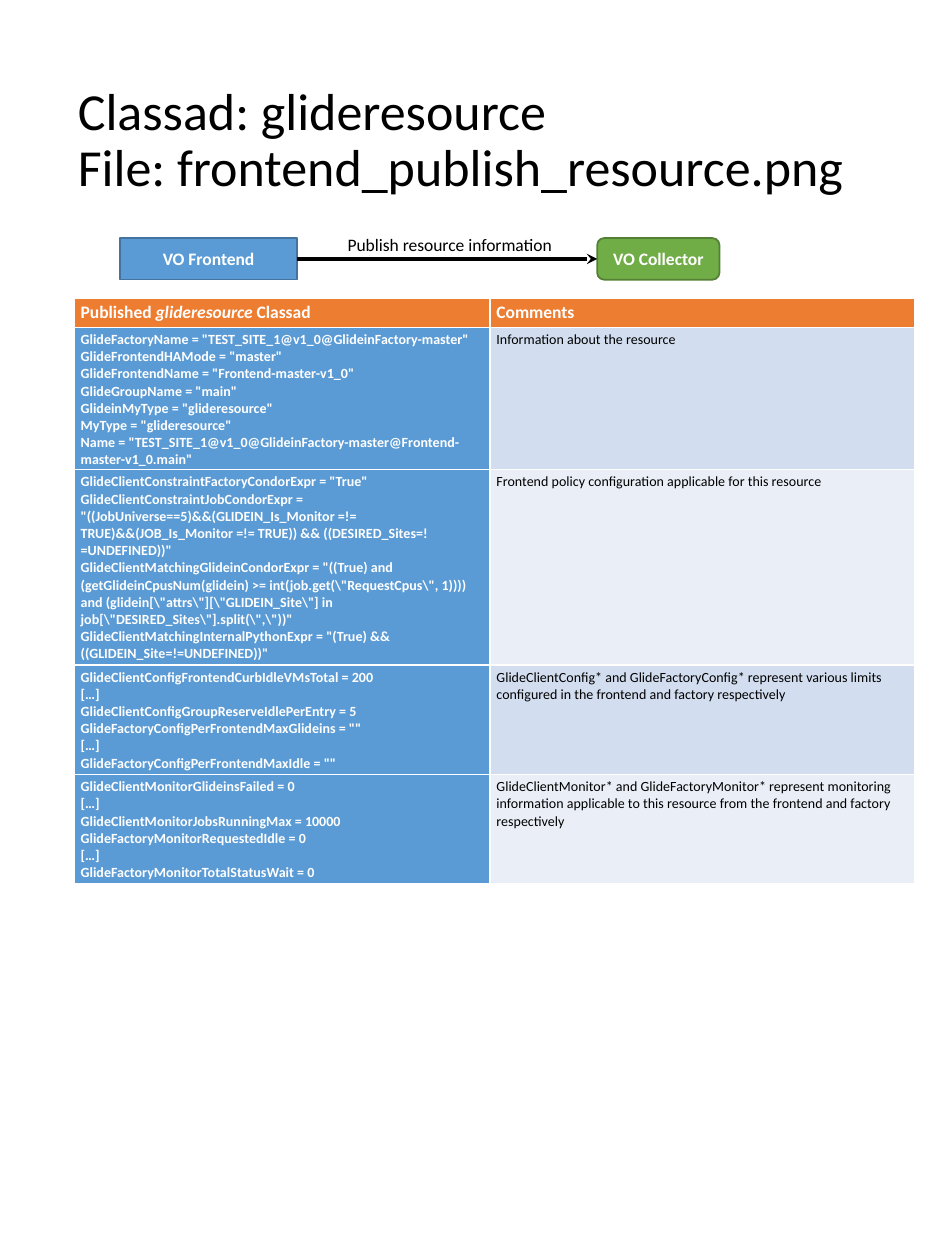
"""Build the glideresource classad slide."""
import pptx
import pptx.util
import pptx.dml.color
import pptx.enum.shapes
import pptx.enum.text
import lxml.etree

Inches, Pt = pptx.util.Inches, pptx.util.Pt
Color = pptx.dml.color.RGBColor
Shape = pptx.enum.shapes.MSO_SHAPE
Anchor = pptx.enum.text.MSO_ANCHOR
Align = pptx.enum.text.PP_ALIGN

WHITE = Color(0xFF, 0xFF, 0xFF)
BLACK = Color(0x00, 0x00, 0x00)
BLUE = Color(0x5B, 0x9B, 0xD5)
NAVY = Color(0x43, 0x73, 0x9E)
GREEN = Color(0x70, 0xAD, 0x47)
MOSS = Color(0x53, 0x80, 0x35)
ORANGE = Color(0xED, 0x7D, 0x31)
BANDS = [Color(0xD2, 0xDE, 0xEF), Color(0xEA, 0xEF, 0xF7)]

TITLE = "Classad: glideresource\vFile: frontend_publish_resource.png"
LABEL = "Publish resource information"
NODES = [
    ("VO Frontend", Shape.RECTANGLE, 0.95, 1.41, BLUE, NAVY),
    ("VO Collector", Shape.ROUNDED_RECTANGLE, 4.74, 0.97, GREEN, MOSS),
]
HEAD = [
    [("Published ", False), ("glideresource ", True), ("Classad", False)],
    [("Comments", False)],
]
ROWS = [
    (1.13, [
        'GlideFactoryName = "TEST_SITE_1@v1_0@GlideinFactory-master"',
        'GlideFrontendHAMode = "master"',
        'GlideFrontendName = "Frontend-master-v1_0"',
        'GlideGroupName = "main"',
        'GlideinMyType = "glideresource"',
        'MyType = "glideresource"',
        'Name = "TEST_SITE_1@v1_0@GlideinFactory-master@Frontend-master-v1_0.main"',
    ], "Information about the resource"),
    (1.55, [
        'GlideClientConstraintFactoryCondorExpr = "True"',
        'GlideClientConstraintJobCondorExpr = "((JobUniverse==5)&&(GLIDEIN_Is_Monitor =!= '
        'TRUE)&&(JOB_Is_Monitor =!= TRUE)) && ((DESIRED_Sites=!=UNDEFINED))"',
        r'GlideClientMatchingGlideinCondorExpr = "((True) and (getGlideinCpusNum(glidein) >= '
        r'int(job.get(\"RequestCpus\", 1)))) and (glidein[\"attrs\"][\"GLIDEIN_Site\"] in '
        r'job[\"DESIRED_Sites\"].split(\",\"))"',
        'GlideClientMatchingInternalPythonExpr = "(True) && ((GLIDEIN_Site=!=UNDEFINED))"',
    ], "Frontend policy configuration applicable for this resource"),
    (0.87, [
        "GlideClientConfigFrontendCurbIdleVMsTotal = 200",
        "[…]",
        "GlideClientConfigGroupReserveIdlePerEntry = 5",
        'GlideFactoryConfigPerFrontendMaxGlideins = ""',
        "[…]",
        'GlideFactoryConfigPerFrontendMaxIdle = ""',
    ], "GlideClientConfig* and GlideFactoryConfig* represent various limits "
       "configured in the frontend and factory respectively"),
    (0.87, [
        "GlideClientMonitorGlideinsFailed = 0",
        "[…]",
        "GlideClientMonitorJobsRunningMax = 10000",
        "GlideFactoryMonitorRequestedIdle = 0",
        "[…]",
        "GlideFactoryMonitorTotalStatusWait = 0",
    ], "GlideClientMonitor* and GlideFactoryMonitor* represent monitoring information "
       "applicable to this resource from the frontend and factory respectively"),
]
COLS = [3.3, 3.37]
TOP = 0.22


def style(frame, size, color, bold=False):
    for para in frame.paragraphs:
        font = para.font
        font.name, font.size, font.bold = "Calibri", Pt(size), bold
        font.color.rgb = color


def add_text(shapes, text, box, size):
    frame = shapes.add_textbox(*map(Inches, box)).text_frame
    frame.text = text
    style(frame, size, BLACK)
    return frame


def add_node(shapes, text, kind, left, width, fill, edge):
    node = shapes.add_shape(kind, *map(Inches, (left, 1.89, width, 0.33)))
    node.shadow.inherit = False
    node.fill.solid()
    node.fill.fore_color.rgb = fill
    node.line.color.rgb = edge
    node.line.width = Pt(1)
    frame = node.text_frame
    frame.text = text
    frame.vertical_anchor = Anchor.MIDDLE
    frame.paragraphs[0].alignment = Align.CENTER
    style(frame, 10, WHITE, True)
    return node


def add_arrow(shapes, start, end):
    line = shapes.add_connector(pptx.enum.shapes.MSO_CONNECTOR.STRAIGHT, 0, 0, 0, 0)
    line.begin_connect(start, 3)
    line.end_connect(end, 1)
    line.line.color.rgb = BLACK
    line.line.width = Pt(2)
    space = "{http://schemas.openxmlformats.org/drawingml/2006/main}"
    lxml.etree.SubElement(line.line._get_or_add_ln(), space + "tailEnd", type="stealth")
    lxml.etree.SubElement(line._element.spPr, space + "effectLst")


def paint(cell, fill, size, color, bold):
    cell.margin_left = cell.margin_right = Inches(0.05)
    cell.margin_top = cell.margin_bottom = Inches(0.03)
    cell.fill.solid()
    cell.fill.fore_color.rgb = fill
    style(cell.text_frame, size, color, bold)


def add_grid(shapes):
    highs = [TOP] + [row[0] for row in ROWS]
    box = map(Inches, (0.59, 2.37, sum(COLS), sum(highs)))
    grid = shapes.add_table(len(highs), len(COLS), *box).table
    grid.first_col = True
    for col, width in zip(grid.columns, COLS):
        col.width = Inches(width)
    for row, high in zip(grid.rows, highs):
        row.height = Inches(high)
    for col, parts in enumerate(HEAD):
        cell = grid.cell(0, col)
        for text, slant in parts:
            run = cell.text_frame.paragraphs[0].add_run()
            run.text, run.font.italic = text, slant
        paint(cell, ORANGE, 10, WHITE, True)
    for idx, (_, lines, note) in enumerate(ROWS):
        left, right = grid.cell(idx + 1, 0), grid.cell(idx + 1, 1)
        left.text, right.text = "\n".join(lines), note
        paint(left, BLUE, 8, WHITE, True)
        paint(right, BANDS[idx % 2], 8, BLACK, False)


def main():
    deck = pptx.Presentation()
    deck.slide_width, deck.slide_height = Inches(7.5), Inches(10)
    shapes = deck.slides.add_slide(deck.slide_layouts[6]).shapes
    title = add_text(shapes, TITLE, (0.52, 0.53, 6.47, 1.19), 29.7)
    title.word_wrap = True
    title.vertical_anchor = Anchor.MIDDLE
    title.paragraphs[0].line_spacing = 0.9
    add_grid(shapes)
    flow = shapes.add_group_shape().shapes
    start, end = [add_node(flow, *node) for node in NODES]
    add_arrow(flow, start, end)
    label = add_text(flow, LABEL, (2.66, 1.81, 1.85, 0.27), 10)
    label.word_wrap = False
    label.auto_size = pptx.enum.text.MSO_AUTO_SIZE.SHAPE_TO_FIT_TEXT
    deck.save("out.pptx")


if __name__ == "__main__":
    main()
